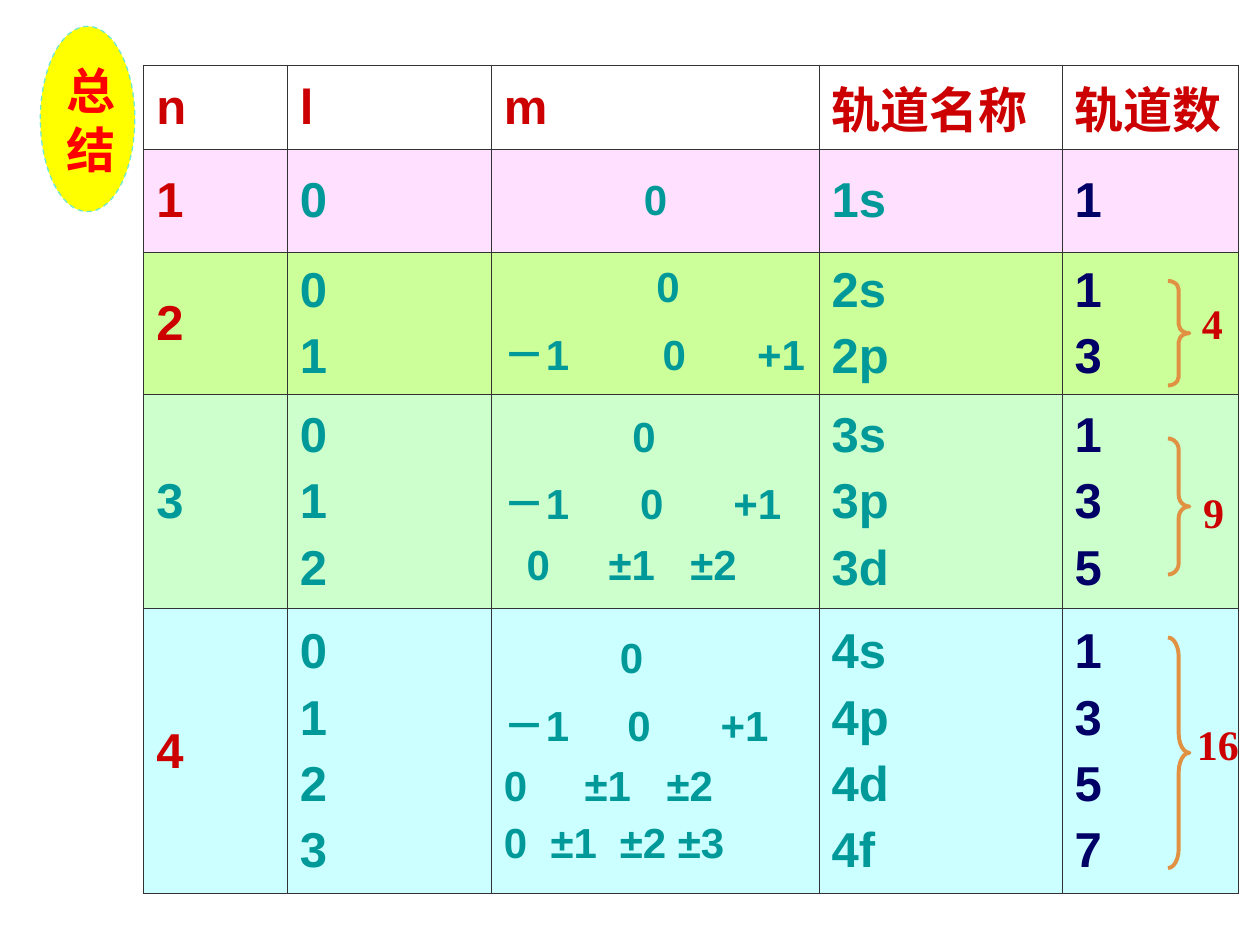
from lxml import etree
from pptx import Presentation
from pptx.dml.color import RGBColor
from pptx.enum.dml import MSO_LINE
from pptx.enum.shapes import MSO_SHAPE
from pptx.enum.text import MSO_ANCHOR, PP_ALIGN
from pptx.oxml.ns import qn
from pptx.util import Inches, Pt

ELLIPSE, RIGHT_BRACE = MSO_SHAPE.OVAL, MSO_SHAPE.RIGHT_BRACE
DASH, MIDDLE, CENTER = MSO_LINE.DASH, MSO_ANCHOR.MIDDLE, PP_ALIGN.CENTER

RED = RGBColor(0xCC, 0x00, 0x00)
TEAL = RGBColor(0x00, 0x99, 0x99)
NAVY = RGBColor(0x00, 0x00, 0x66)
BRIGHT_RED = RGBColor(0xFF, 0x00, 0x00)
YELLOW = RGBColor(0xFF, 0xFF, 0x00)
AQUA = RGBColor(0x71, 0xE9, 0xCF)
ORANGE = RGBColor(0xE0, 0x91, 0x42)
WHITE = RGBColor(0xFF, 0xFF, 0xFF)
PINK = RGBColor(0xFF, 0xE1, 0xFF)
LIME = RGBColor(0xCC, 0xFF, 0x99)
MINT = RGBColor(0xCC, 0xFF, 0xCC)
SKY = RGBColor(0xCC, 0xFF, 0xFF)
BORDER = RGBColor(0x33, 0x33, 0x33)

# Content: an m line is a list of (offset in inches, value)
HEADERS = ["n", "l", "m", "轨道名称", "轨道数"]
SHELLS = [
    {"n": "1", "n_color": RED, "fill": PINK, "height": 0.82,
     "m": [[(1.11, "0")]]},
    {"n": "2", "n_color": RED, "fill": LIME, "height": 1.13,
     "m": [[(1.21, "0")],
           [(0, "－1"), (1.26, "0"), (2.01, "+1")]]},
    {"n": "3", "n_color": TEAL, "fill": MINT, "height": 1.7,
     "m": [[(1.02, "0")],
           [(0, "－1"), (1.08, "0"), (1.82, "+1")],
           [(0.18, "0"), (0.83, "±1"), (1.48, "±2")]]},
    {"n": "4", "n_color": RED, "fill": SKY, "height": 2.26,
     "m": [[(0.92, "0")],
           [(0, "－1"), (0.98, "0"), (1.72, "+1")],
           [(0, "0"), (0.64, "±1"), (1.29, "±2")],
           [(0, "0"), (0.37, "±1"), (0.92, "±2"), (1.38, "±3")]]},
]
SUBSHELLS = "spdf"
# Brace top and height, then total with its left, top and width
TOTALS = [
    (2.23, 0.83, "4", 9.44, 2.31, 0.5),
    (3.48, 1.08, "9", 9.45, 3.81, 0.5),
    (5.06, 1.83, "16", 9.4, 5.65, 0.75),
]

TABLE_LEFT, TABLE_TOP = 1.14, 0.52
COLUMN_WIDTHS = [1.14, 1.62, 2.6, 1.93, 1.4]
HEADER_HEIGHT = 0.64
BRACE_LEFT, BRACE_WIDTH = 9.27, 0.17
THIN, THICK = 0.45, 1.08


def set_font(paragraph, name, size, color):
    font = paragraph.font
    font.name, font.size, font.bold = name, Pt(size), True
    font.color.rgb = color


def set_borders(cell, widths):
    for side, width in widths.items():
        line = etree.SubElement(cell._tc.get_or_add_tcPr(), qn(f"a:ln{side}"),
                                w=str(Pt(width)))
        fill = etree.SubElement(line, qn("a:solidFill"))
        etree.SubElement(fill, qn("a:srgbClr"), val=str(BORDER))


def write_cell(cell, lines, color, size=28):
    frame = cell.text_frame
    for i, line in enumerate(lines):
        paragraph = frame.add_paragraph() if i else frame.paragraphs[0]
        paragraph.space_before = Pt(size * 0.24)
        if isinstance(line, str):
            paragraph.text = line
        else:
            paragraph.text = "".join("\t" * (at > 0) + value for at, value in line)
            tabs = etree.SubElement(paragraph._p.get_or_add_pPr(), qn("a:tabLst"))
            for at, _ in line:
                if at:
                    etree.SubElement(tabs, qn("a:tab"), pos=str(Inches(at)), algn="l")
        set_font(paragraph, "Arial", size, color)


prs = Presentation()
prs.slide_width, prs.slide_height = Inches(10), Inches(7.5)
slide = prs.slides.add_slide(prs.slide_layouts[6])
shapes = slide.shapes

# Orbital table
heights = [HEADER_HEIGHT] + [shell["height"] for shell in SHELLS]
table = shapes.add_table(
    len(heights), len(COLUMN_WIDTHS), Inches(TABLE_LEFT), Inches(TABLE_TOP),
    Inches(sum(COLUMN_WIDTHS)), Inches(sum(heights))).table
for column, width in zip(table.columns, COLUMN_WIDTHS):
    column.width = Inches(width)
for row, height in zip(table.rows, heights):
    row.height = Inches(height)

last_row, last_column = len(heights) - 1, len(COLUMN_WIDTHS) - 1
fills = [WHITE] + [shell["fill"] for shell in SHELLS]
for r, fill in enumerate(fills):
    for c in range(len(COLUMN_WIDTHS)):
        cell = table.cell(r, c)
        cell.vertical_anchor = MIDDLE
        set_borders(cell, {
            "L": THICK if c == 0 else THIN,
            "R": THICK if c == last_column else THIN,
            "T": THICK if r == 0 else THIN,
            "B": THICK if r == last_row else THIN})
        cell.fill.solid()
        cell.fill.fore_color.rgb = fill

for c, header in enumerate(HEADERS):
    write_cell(table.cell(0, c), [header], RED)
for r, shell in enumerate(SHELLS, 1):
    levels = range(len(shell["m"]))
    write_cell(table.cell(r, 0), [shell["n"]], shell["n_color"])
    write_cell(table.cell(r, 1), [str(l) for l in levels], TEAL)
    write_cell(table.cell(r, 2), shell["m"], TEAL, size=24)
    write_cell(table.cell(r, 3), [shell["n"] + SUBSHELLS[l] for l in levels], TEAL)
    write_cell(table.cell(r, 4), [str(2 * l + 1) for l in levels], NAVY)

# Braces with the orbital totals
for brace_top, brace_height, total, left, top, width in TOTALS:
    brace = shapes.add_shape(RIGHT_BRACE, Inches(BRACE_LEFT), Inches(brace_top),
                             Inches(BRACE_WIDTH), Inches(brace_height))
    brace.adjustments[0] = brace_height / 12 / BRACE_WIDTH
    brace.shadow.inherit = False
    brace.fill.background()
    brace.line.color.rgb = ORANGE
    brace.line.width = Pt(2.25)

    total_box = shapes.add_textbox(Inches(left), Inches(top), Inches(width), Inches(0.5))
    total_box.text_frame.word_wrap = True
    total_line = total_box.text_frame.paragraphs[0]
    total_line.text = total
    total_line.space_before = Pt(15)
    set_font(total_line, "Times New Roman", 24, RED)

# Summary badge
badge = shapes.add_shape(ELLIPSE, Inches(0.32), Inches(0.21), Inches(0.75), Inches(1.47))
badge.shadow.inherit = False
badge.fill.solid()
badge.fill.fore_color.rgb = YELLOW
badge.line.color.rgb = AQUA
badge.line.width = Pt(0.75)
badge.line.dash_style = DASH
badge.text_frame.word_wrap = True
badge.text_frame.vertical_anchor = MIDDLE
badge_line = badge.text_frame.paragraphs[0]
badge_line.text = "总结"
badge_line.alignment = CENTER
set_font(badge_line, "Times New Roman", 28, BRIGHT_RED)

prs.save("out.pptx")
